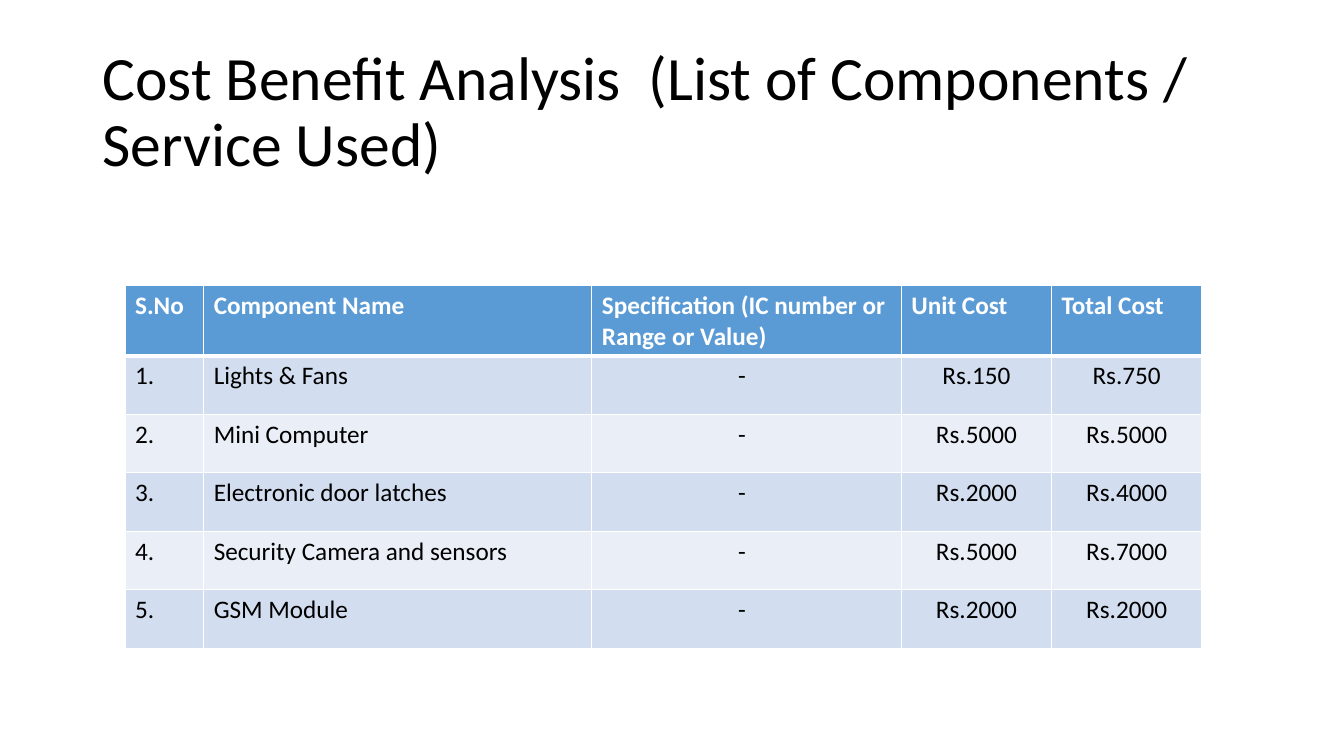
"""Builds the cost benefit analysis slide with its table of components."""
from dataclasses import dataclass

from lxml import etree
from pptx import Presentation
from pptx.dml.color import RGBColor
from pptx.enum.text import MSO_ANCHOR, PP_ALIGN
from pptx.oxml.ns import qn
from pptx.util import Inches, Pt

LEFT = PP_ALIGN.LEFT
CENTER = PP_ALIGN.CENTER
MIDDLE = MSO_ANCHOR.MIDDLE

FONT = "Calibri"
COLORS = {
    "text": "000000",
    "white": "FFFFFF",
    "header": "5B9BD5",
    "odd_row": "D2DEEF",
    "even_row": "EAEFF7",
}
TITLE = "Cost Benefit Analysis  (List of Components / Service Used)"
HEADER_HEIGHT = 0.48
ROW_HEIGHT = 0.58
BORDER_POINTS = 1
HEADER_RULE_POINTS = 3


@dataclass(frozen=True)
class Column:
    heading: str
    width: float
    alignment: PP_ALIGN = LEFT
    left_margin: float = 0.1


@dataclass(frozen=True)
class Component:
    name: str
    unit_cost: int
    total_cost: int


COLUMNS = [
    Column("S.No", 0.78),
    Column("Component Name", 3.85),
    Column("Specification (IC number or Range or Value)", 3.07, left_margin=1.45),
    Column("Unit Cost", 1.49, CENTER),
    Column("Total Cost", 1.49, CENTER),
]
COMPONENTS = [
    Component("Lights & Fans", 150, 750),
    Component("Mini Computer", 5000, 5000),
    Component("Electronic door latches", 2000, 4000),
    Component("Security Camera and sensors", 5000, 7000),
    Component("GSM Module", 2000, 2000),
]


def rgb(name: str) -> RGBColor:
    return RGBColor.from_string(COLORS[name])


def format_paragraph(paragraph, size: int, color: str, bold: bool = False) -> None:
    for run in paragraph.runs:
        run.font.name = FONT
        run.font.size = Pt(size)
        run.font.bold = bold
        run.font.color.rgb = rgb(color)


def add_borders(cell, top: int, bottom: int) -> None:
    properties = cell._tc.get_or_add_tcPr()
    widths = {"lnL": BORDER_POINTS, "lnR": BORDER_POINTS, "lnT": top, "lnB": bottom}
    for position, (side, width) in enumerate(widths.items()):
        line = etree.Element(qn(f"a:{side}"), w=str(Pt(width)))
        fill = etree.SubElement(line, qn("a:solidFill"))
        etree.SubElement(fill, qn("a:srgbClr"), val=COLORS["white"])
        properties.insert(position, line)


def fill_cell(cell, text: str, column: Column, row_index: int) -> None:
    is_header = row_index == 0
    cell.text_frame.text = text
    paragraph = cell.text_frame.paragraphs[0]
    if is_header:
        fill_name = "header"
        paragraph.alignment = LEFT
    else:
        fill_name = "odd_row" if row_index % 2 else "even_row"
        paragraph.alignment = column.alignment
        cell.margin_left = Inches(column.left_margin)
    format_paragraph(paragraph, 18, "white" if is_header else "text", is_header)
    cell.fill.solid()
    cell.fill.fore_color.rgb = rgb(fill_name)
    add_borders(
        cell,
        top=HEADER_RULE_POINTS if row_index == 1 else BORDER_POINTS,
        bottom=HEADER_RULE_POINTS if is_header else BORDER_POINTS,
    )


def add_title(slide) -> None:
    shape = slide.shapes.add_textbox(Inches(0.92), Inches(0.4), Inches(11.5), Inches(1.45))
    text_frame = shape.text_frame
    text_frame.word_wrap = True
    text_frame.vertical_anchor = MIDDLE
    text_frame.text = TITLE
    paragraph = text_frame.paragraphs[0]
    paragraph.line_spacing = 0.9
    format_paragraph(paragraph, 44, "text")


def add_cost_table(slide) -> None:
    rows = [[column.heading for column in COLUMNS]]
    for number, component in enumerate(COMPONENTS, start=1):
        rows.append([
            f"{number}.",
            component.name,
            "-",
            f"Rs.{component.unit_cost}",
            f"Rs.{component.total_cost}",
        ])
    heights = [HEADER_HEIGHT] + [ROW_HEIGHT] * len(COMPONENTS)
    table = slide.shapes.add_table(
        len(rows), len(COLUMNS), Inches(1.24), Inches(2.83),
        Inches(sum(column.width for column in COLUMNS)), Inches(sum(heights)),
    ).table
    for column_index, column in enumerate(COLUMNS):
        table.columns[column_index].width = Inches(column.width)
    for row_index, (texts, height) in enumerate(zip(rows, heights)):
        table.rows[row_index].height = Inches(height)
        for column_index, (text, column) in enumerate(zip(texts, COLUMNS)):
            fill_cell(table.cell(row_index, column_index), text, column, row_index)


def main() -> None:
    presentation = Presentation()
    presentation.slide_width = Inches(13.33)
    presentation.slide_height = Inches(7.5)
    slide = presentation.slides.add_slide(presentation.slide_layouts[6])
    add_title(slide)
    add_cost_table(slide)
    presentation.save("out.pptx")


if __name__ == "__main__":
    main()
